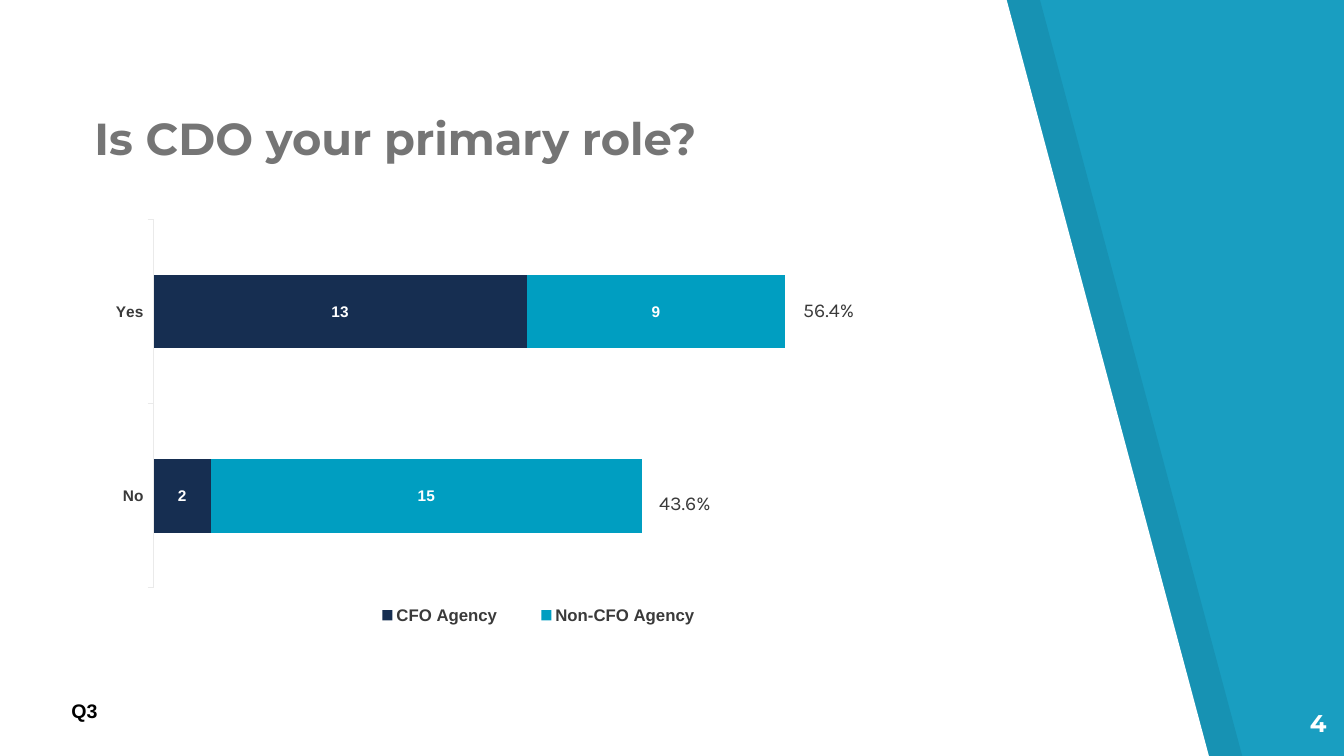
from dataclasses import dataclass
from typing import Any

from lxml import etree
from pptx import Presentation
from pptx import util as u
from pptx.chart.data import CategoryChartData
from pptx.dml.color import RGBColor
from pptx.enum import chart as c
from pptx.enum import text as t
from pptx.oxml import parse_xml
from pptx.oxml.ns import nsdecls, qn


@dataclass(frozen=True)
class Theme:
    teal: str = "199EC1"
    white: str = "FFFFFF"
    black: str = "000000"
    grey: str = "757575"
    ink: str = "3A3A3A"
    axis: str = "EAEAEA"
    navy: str = "162E51"
    cyan: str = "009EC1"
    heading_font: str = "Montserrat"
    body_font: str = "Karla"
    chart_font: str = "Arial"
    title_size: float = 32
    number_size: float = 17.3
    note_size: float = 14
    legend_size: float = 12
    label_size: float = 11
    chart_size: float = 10


@dataclass(frozen=True)
class Panel:
    left: float
    color: str
    opacity: int


@dataclass(frozen=True)
class Caption:
    words: str
    box: tuple[float, float, float, float]
    size: float
    font: str
    color: str
    bold: bool = False
    align: Any = t.PP_ALIGN.LEFT
    anchor: Any = t.MSO_ANCHOR.TOP
    inset: float = 0.13


@dataclass(frozen=True)
class Series:
    name: str
    values: tuple[int, ...]
    color: str


THEME = Theme()
PANEL_OUTLINE = ((0, -0.05), (0, 19.1), (30.48, 19.1), (25.37, 0))
PANELS = (Panel(0.84, THEME.black, 7), Panel(0, THEME.white, 100))
TITLE = Caption("Is CDO your primary role?", (2.13, 2.59, 22.76, 1.8), THEME.title_size,
                THEME.heading_font, THEME.grey, True, anchor=t.MSO_ANCHOR.BOTTOM, inset=0.25)
CAPTIONS = (
    Caption("4", (31.65, 17.6, 2.03, 1.45), THEME.number_size, THEME.heading_font,
            THEME.white, True, t.PP_ALIGN.RIGHT, inset=0.25),
    Caption("Q3", (1.55, 17.48, 1.4, 0.86), THEME.note_size, THEME.chart_font, THEME.black, True),
    Caption("43.6%", (16.36, 12.24, 2.77, 0.86), THEME.note_size, THEME.body_font, THEME.ink),
    Caption("56.4%", (19.99, 7.37, 2.77, 0.86), THEME.note_size, THEME.body_font, THEME.ink),
)
CHART_BOX = (2.13, 4.65, 21.79, 12.55)
CATEGORIES = ("No", "Yes")
SERIES = (
    Series("CFO Agency", (2, 13), THEME.navy),
    Series("Non-CFO Agency", (15, 9), THEME.cyan),
)


def apply(target: Any, formats: dict[str, Any]) -> None:
    for name, value in formats.items():
        setattr(target, name, value)


def lengths(values: tuple[float, ...]) -> list[int]:
    return [u.Cm(value) for value in values]


def style_font(font: Any, name: str, size: float, color: str, bold: bool) -> None:
    apply(font, {"name": name, "size": u.Pt(size), "bold": bold})
    font.color.rgb = RGBColor.from_string(color)


def paint(fill: Any, color: str) -> None:
    fill.solid()
    fill.fore_color.rgb = RGBColor.from_string(color)


def draw_panel(slide: Any, panel: Panel) -> None:
    points = [(u.Cm(panel.left + x), u.Cm(y)) for x, y in PANEL_OUTLINE]
    builder = slide.shapes.build_freeform(*points[0])
    builder.add_line_segments(points[1:], close=True)
    shape = builder.convert_to_shape()
    shape.shadow.inherit = False
    shape.line.fill.background()
    paint(shape.fill, panel.color)
    if panel.opacity < 100:
        color = shape.fill._xPr.find(qn("a:solidFill"))[0]
        etree.SubElement(color, qn("a:alpha"), val=str(panel.opacity * 1000))


def fill_caption(shape: Any, caption: Caption) -> None:
    apply(shape, dict(zip(("left", "top", "width", "height"), lengths(caption.box))))
    frame = shape.text_frame
    margins = {f"margin_{side}": u.Cm(caption.inset) for side in ("top", "bottom")}
    margins |= {f"margin_{side}": u.Cm(0.25) for side in ("left", "right")}
    apply(frame, margins | {"word_wrap": True, "auto_size": t.MSO_AUTO_SIZE.NONE,
                            "vertical_anchor": caption.anchor})
    paragraph = frame.paragraphs[0]
    paragraph.alignment = caption.align
    run = paragraph.add_run()
    run.text = caption.words
    style_font(run.font, caption.font, caption.size, caption.color, caption.bold)


def place_part(element: Any, position: tuple[float, ...], inner: bool = False) -> None:
    for old in element.findall(qn("c:layout")):
        element.remove(old)
    target = '<c:layoutTarget val="inner"/>' if inner else ""
    modes = '<c:xMode val="edge"/><c:yMode val="edge"/>'
    sizes = "".join(f'<c:{key} val="{value}"/>' for key, value in zip("xywh", position))
    layout = parse_xml(f'<c:layout {nsdecls("c")}><c:manualLayout>{target}{modes}{sizes}'
                       "</c:manualLayout></c:layout>")
    element.insert(0 if inner else 1, layout)


def draw_chart(slide: Any) -> None:
    data = CategoryChartData()
    data.categories = CATEGORIES
    for series in SERIES:
        data.add_series(series.name, series.values)
    chart = slide.shapes.add_chart(c.XL_CHART_TYPE.BAR_STACKED, *lengths(CHART_BOX), data).chart
    apply(chart, {"has_title": False, "has_legend": True})
    style_font(chart.font, THEME.chart_font, THEME.chart_size, THEME.grey, False)

    apply(chart.value_axis, {"visible": False, "has_major_gridlines": False,
                             "minimum_scale": 0, "maximum_scale": 25})
    axis = chart.category_axis
    apply(axis, {"major_tick_mark": c.XL_TICK_MARK.OUTSIDE, "has_major_gridlines": False})
    style_font(axis.tick_labels.font, THEME.chart_font, THEME.label_size, THEME.ink, True)
    axis.format.line.width = u.Pt(0.75)
    axis.format.line.color.rgb = RGBColor.from_string(THEME.axis)

    plot = chart.plots[0]
    apply(plot, {"gap_width": 150, "overlap": 100, "vary_by_categories": False})
    for bars, series in zip(plot.series, SERIES):
        paint(bars.format.fill, series.color)
        apply(bars.data_labels, {"show_value": True, "position": c.XL_LABEL_POSITION.CENTER})
        style_font(bars.data_labels.font, THEME.chart_font, THEME.label_size, THEME.white, True)

    legend = chart.legend
    apply(legend, {"position": c.XL_LEGEND_POSITION.RIGHT, "include_in_layout": False})
    style_font(legend.font, THEME.chart_font, THEME.legend_size, THEME.ink, True)
    place_part(legend._element, (0.3, 0.83, 0.45, 0.07))
    place_part(chart._chartSpace.chart.plotArea, (0.08, 0.07, 0.83, 0.74), inner=True)


def main() -> None:
    presentation = Presentation()
    apply(presentation, {"slide_width": u.Cm(33.87), "slide_height": u.Cm(19.05)})
    slide = presentation.slides.add_slide(presentation.slide_layouts[5])
    paint(slide.background.fill, THEME.teal)
    for panel in PANELS:
        draw_panel(slide, panel)
    title = slide.shapes.title
    slide.shapes._spTree.append(title._element)
    fill_caption(title, TITLE)
    draw_chart(slide)
    for caption in CAPTIONS:
        fill_caption(slide.shapes.add_textbox(0, 0, 0, 0), caption)
    presentation.save("out.pptx")


if __name__ == "__main__":
    main()
